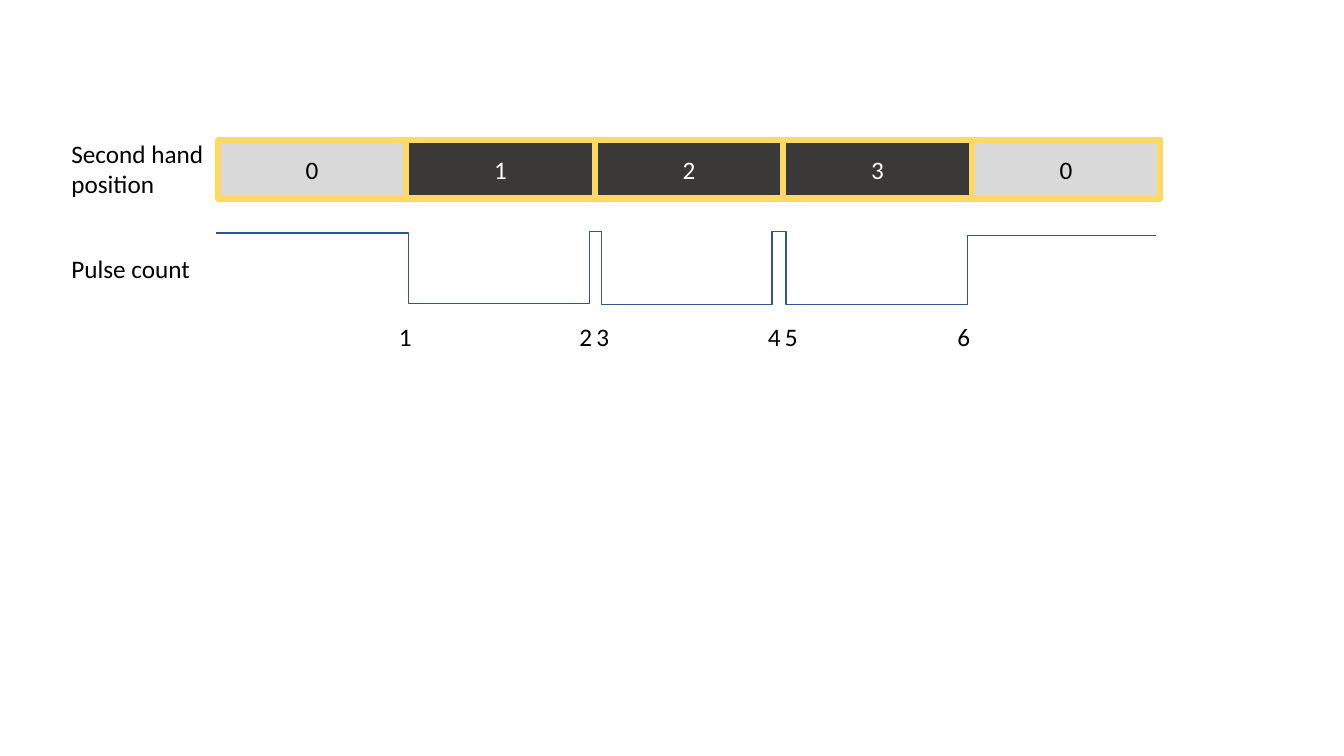
"""Build the slide relating second hand positions to pulse counts."""
from pptx import Presentation
from pptx.dml.color import RGBColor
from pptx.enum import shapes, text
from pptx.util import Cm, Pt

BLACK, WHITE = "000000", "FFFFFF"
DARK, LIGHT, GOLD, BLUE = "3B3838", "D9D9D9", "FFD966", "325491"

POSITIONS = ["0", "1", "2", "3", "0"]
ROW_LEFT, ROW_TOP, CELL_WIDTH, CELL_HEIGHT = 5.49, 3.53, 4.75, 1.47

WAVE_LEFT = 5.44
WAVE_STEPS = [(5.87, 10.29), (7.65, 14.86), (5.84, 15.16), (7.67, 19.46),
              (5.84, 19.81), (7.67, 24.38), (5.94, 29.13)]

COUNT_LEFTS = [9.8, 14.35, 14.78, 19.1, 19.53, 23.88]
COUNT_TOP = 7.98


def color(hex_code):
    """Return the colour for a hex string."""
    return RGBColor.from_string(hex_code)


def write(frame, content, size=18, font="Calibri", fill=BLACK,
          align=text.PP_ALIGN.LEFT):
    """Fill a text frame, one paragraph for each line of content."""
    frame.text = content
    for paragraph in frame.paragraphs:
        paragraph.alignment = align
        paragraph.font.size = Pt(size)
        paragraph.font.name = font
        paragraph.font.color.rgb = color(fill)


def add_label(slide, content, left, top, width, height=1.03):
    """Add an unwrapped text box that fits its text."""
    box = slide.shapes.add_textbox(Cm(left), Cm(top), Cm(width), Cm(height))
    box.text_frame.word_wrap = False
    box.text_frame.auto_size = text.MSO_AUTO_SIZE.SHAPE_TO_FIT_TEXT
    write(box.text_frame, content)


def add_position(slide, content, left):
    """Add one cell of the position row, light for zero and dark otherwise."""
    shape = slide.shapes.add_shape(
        shapes.MSO_SHAPE.RECTANGLE,
        Cm(left), Cm(ROW_TOP), Cm(CELL_WIDTH), Cm(CELL_HEIGHT))
    shape.shadow.inherit = False
    shape.fill.solid()
    shape.fill.fore_color.rgb = color(LIGHT if content == "0" else DARK)
    shape.line.color.rgb = color(GOLD)
    shape.line.width = Pt(4.5)
    shape.text_frame.vertical_anchor = text.MSO_ANCHOR.MIDDLE
    write(shape.text_frame, content, align=text.PP_ALIGN.CENTER,
          fill=BLACK if content == "0" else WHITE)


def add_wave(slide, left, steps):
    """Draw a square wave from pairs of level and right end."""
    points = []
    for level, right in steps:
        points += [(Cm(left), Cm(level)), (Cm(right), Cm(level))]
        left = right
    builder = slide.shapes.build_freeform(*points[0])
    builder.add_line_segments(points[1:], close=False)
    wave = builder.convert_to_shape()
    wave.shadow.inherit = False
    wave.fill.background()
    wave.line.color.rgb = color(BLUE)
    wave.line.width = Pt(1)


def main():
    """Build and save the presentation."""
    presentation = Presentation()
    presentation.slide_width = Cm(33.87)
    presentation.slide_height = Cm(19.05)
    slide = presentation.slides.add_slide(presentation.slide_layouts[6])

    for index, position in enumerate(POSITIONS):
        add_position(slide, position, ROW_LEFT + index * CELL_WIDTH)
    add_wave(slide, WAVE_LEFT, WAVE_STEPS)
    for count, left in enumerate(COUNT_LEFTS, start=1):
        add_label(slide, str(count), left, COUNT_TOP, 0.84)
    add_label(slide, "Second hand\nposition", 1.55, 3.35, 3.89, 1.8)
    add_label(slide, "Pulse count", 1.55, 6.25, 3.53)

    presentation.save("out.pptx")


if __name__ == "__main__":
    main()
